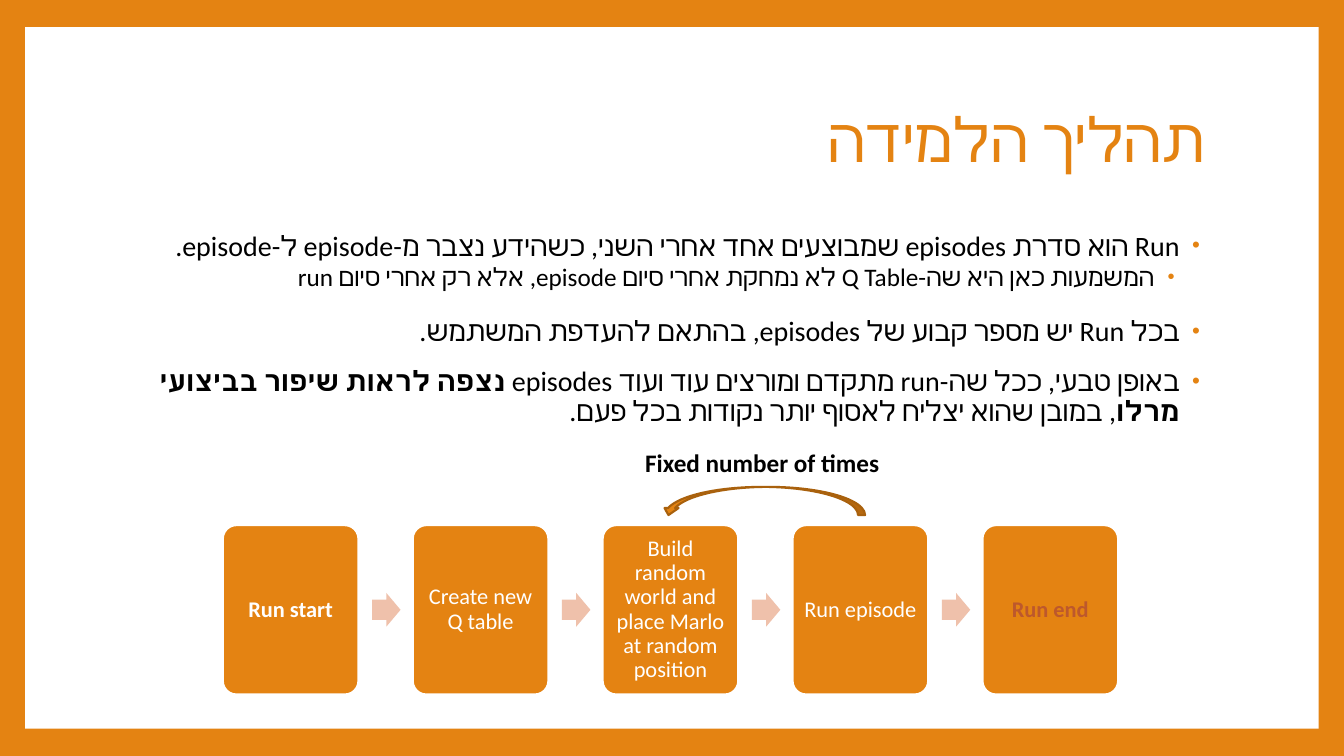
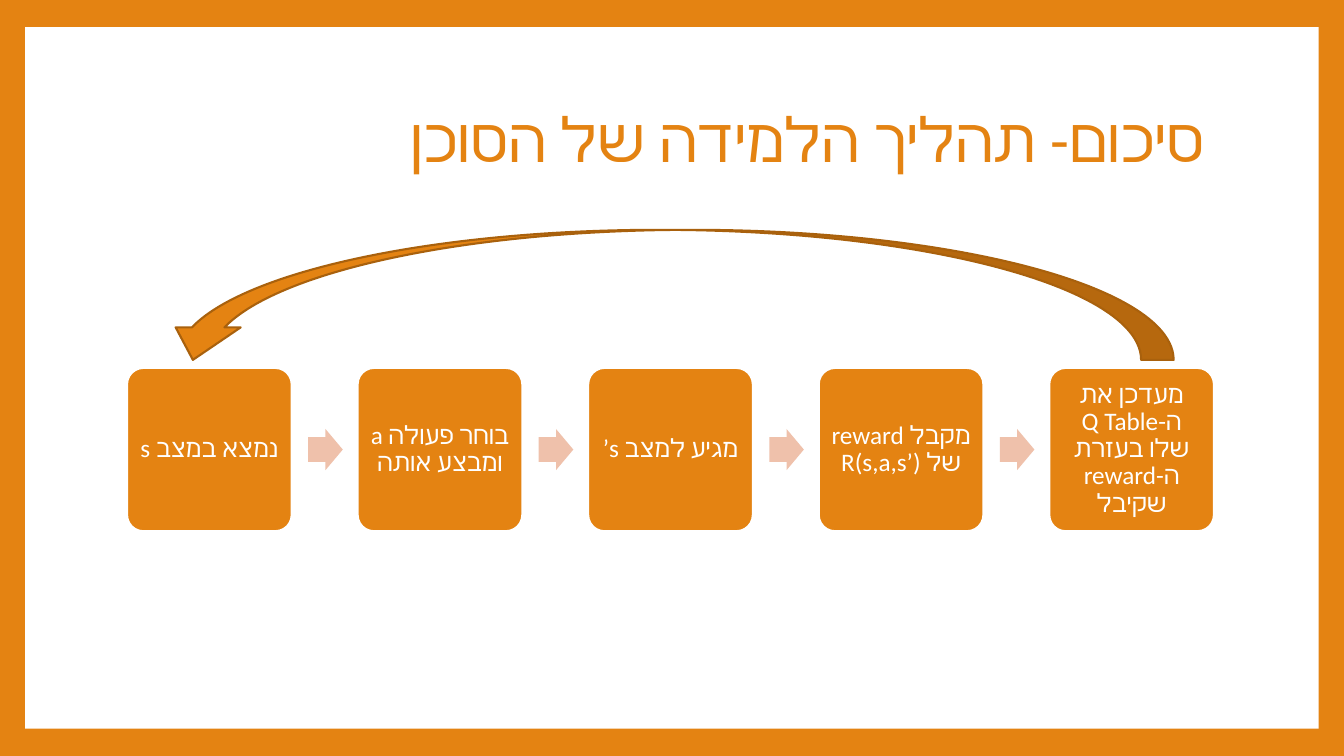
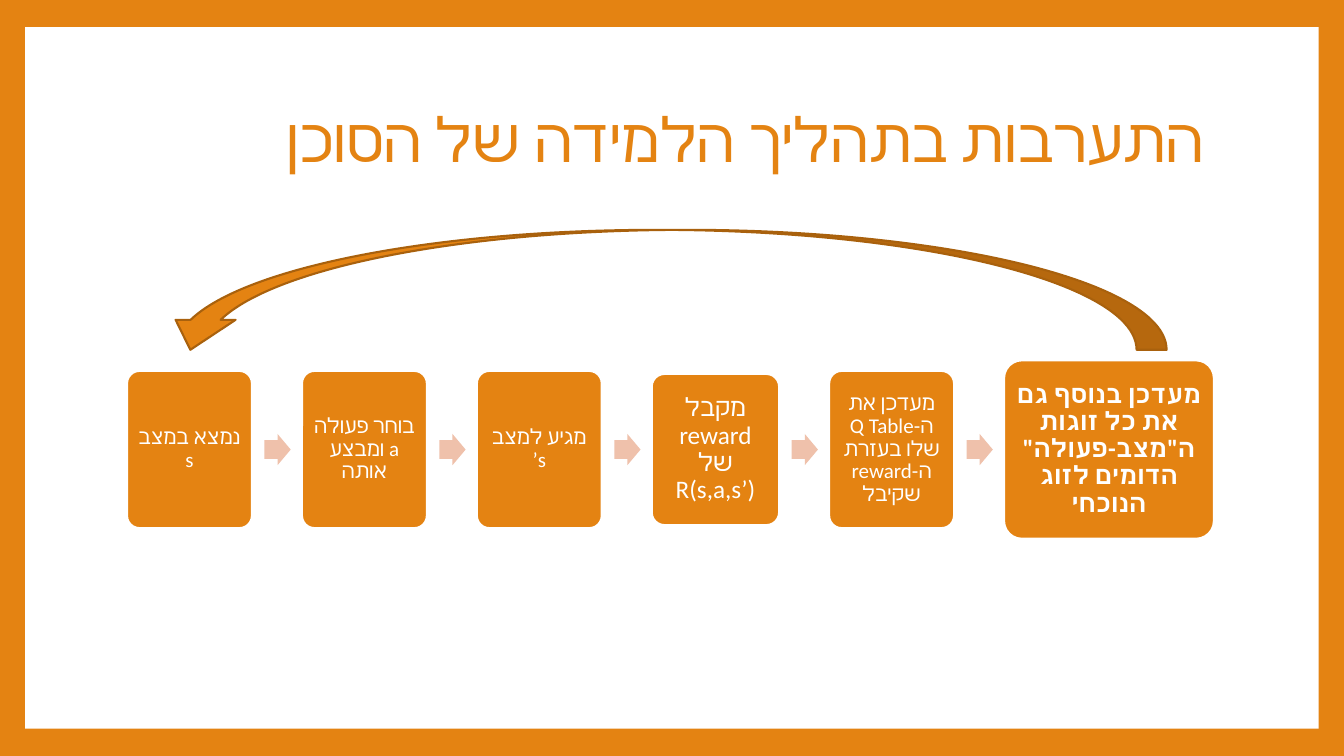
from pptx import Presentation
from pptx.dml.color import RGBColor
from pptx.enum.shapes import MSO_SHAPE
from pptx.enum.text import MSO_ANCHOR, PP_ALIGN
from pptx.oxml import parse_xml
from pptx.oxml.ns import nsdecls
from pptx.util import Inches, Pt

ROUNDED, ARROW = MSO_SHAPE.ROUNDED_RECTANGLE, MSO_SHAPE.RIGHT_ARROW
RECTANGLE, LOOP_ARROW = MSO_SHAPE.RECTANGLE, MSO_SHAPE.CURVED_UP_ARROW
LEFT, CENTER, RIGHT = PP_ALIGN.LEFT, PP_ALIGN.CENTER, PP_ALIGN.RIGHT
MIDDLE = MSO_ANCHOR.MIDDLE

ORANGE = RGBColor(0xE4, 0x83, 0x12)
DARK_ORANGE = RGBColor(0xA9, 0x61, 0x0D)
RUST = RGBColor(0xBD, 0x58, 0x2C)
PEACH = RGBColor(0xEF, 0xC1, 0xAB)
WHITE = RGBColor(0xFF, 0xFF, 0xFF)
BLACK = RGBColor(0x00, 0x00, 0x00)
FONT = "Calibri"

# Slide frame and content column, in inches
WIDTH, HEIGHT = 13.33, 7.5
FRAME_X, FRAME_Y = 0.25, 0.27
CONTENT_LEFT, CONTENT_WIDTH = 1.25, 10.8

# Flow proportions, as shares of one box width
GAP, ARROW_OFFSET, ARROW_WIDTH, ARROW_HEIGHT = 0.4, 0.1, 0.21, 0.25


def write_text(paragraph, runs, alignment, rtl, **font_format):
    """Fill a paragraph with (text, bold) runs that share one format."""
    paragraph.alignment = alignment
    paragraph.line_spacing = 0.9
    if rtl:
        paragraph._p.get_or_add_pPr().set("rtl", "1")
    for text, bold in runs:
        run = paragraph.add_run()
        run.text = text
        run.font.name = FONT
        run.font.bold = bold
        run.font.size = Pt(font_format["size"])
        run.font.color.rgb = font_format["color"]
        run._r.get_or_add_rPr().append(
            parse_xml(f'<a:cs {nsdecls("a")} typeface="{FONT}"/>'))


def add_filled_shape(slide, kind, box, fill, line=None):
    shape = slide.shapes.add_shape(kind, *map(Inches, box))
    shape.shadow.inherit = False
    shape.fill.solid()
    shape.fill.fore_color.rgb = fill
    if line is None:
        shape.line.fill.background()
    else:
        shape.line.color.rgb = line
        shape.line.width = Pt(1.5)
    return shape


presentation = Presentation()
presentation.slide_width, presentation.slide_height = Inches(WIDTH), Inches(HEIGHT)

# Master: background, title and body areas
master = presentation.slide_master
master.background.fill.solid()
master.background.fill.fore_color.rgb = ORANGE
for placeholder, (top, height) in zip(master.placeholders, [(0.67, 1.48), (2.25, 4.42)]):
    placeholder.left, placeholder.width = Inches(CONTENT_LEFT), Inches(CONTENT_WIDTH)
    placeholder.top, placeholder.height = Inches(top), Inches(height)

# Slides with their titles
TITLE_AND_BODY, TITLE_ONLY = 1, 5
TITLES = [
    ("תהליך הלמידה", TITLE_AND_BODY),
    ("סיכום- תהליך הלמידה של הסוכן", TITLE_ONLY),
    ("התערבות בתהליך הלמידה של הסוכן", TITLE_ONLY),
]
slides = []
for title, layout in TITLES:
    slide = presentation.slides.add_slide(presentation.slide_layouts[layout])
    slide.shapes.title.text_frame.vertical_anchor = MIDDLE
    write_text(slide.shapes.title.text_frame.paragraphs[0], [(title, False)],
               RIGHT, True, size=44, color=ORANGE)
    slides.append(slide)

# White panel, moved to the back of the master
panel = add_filled_shape(
    slides[0], RECTANGLE,
    (FRAME_X, FRAME_Y, WIDTH - 2 * FRAME_X, HEIGHT - 2 * FRAME_Y), WHITE)
master.shapes.element.insert(2, panel.element)

# Bullets: level, runs
BULLETS = [
    (0, [("Run הוא סדרת episodes שמבוצעים אחד אחרי השני, כשהידע נצבר מ-episode ל-episode.", False)]),
    (1, [("המשמעות כאן היא שה-Q Table לא נמחקת אחרי סיום episode, אלא רק אחרי סיום run", False)]),
    (0, [("בכל Run יש מספר קבוע של episodes, בהתאם להעדפת המשתמש.", False)]),
    (0, [("באופן טבעי, ככל שה-run מתקדם ומורצים עוד ועוד episodes ", False),
         ("נצפה לראות שיפור בביצועי מרלו", True),
         (", במובן שהוא יצליח לאסוף יותר נקודות בכל פעם.", False)]),
]
LEVELS = [
    {"size": 20, "before": 14, "after": 0},
    {"size": 18, "before": 2, "after": 4},
]
body = slides[0].placeholders[1].text_frame
for index, (level, runs) in enumerate(BULLETS):
    paragraph = body.add_paragraph() if index else body.paragraphs[0]
    style = LEVELS[level]
    paragraph.level = level
    properties = paragraph._p.get_or_add_pPr()
    properties.set("marL", str(Inches(0.25 * (level + 1))))
    properties.set("indent", str(Inches(-0.2)))
    for bullet in (f'<a:buClr {nsdecls("a")}><a:srgbClr val="{ORANGE}"/></a:buClr>',
                   f'<a:buSzPct {nsdecls("a")} val="80000"/>',
                   f'<a:buFont {nsdecls("a")} typeface="Arial"/>',
                   f'<a:buChar {nsdecls("a")} char="•"/>'):
        properties.append(parse_xml(bullet))
    paragraph.space_before = Pt(style["before"] if index else 0)
    paragraph.space_after = Pt(style["after"])
    write_text(paragraph, runs, RIGHT, True, size=style["size"], color=BLACK)

# Flows: each step overrides the step defaults of its flow
AGENT_STEPS = [
    {"text": "נמצא במצב s"},
    {"text": "בוחר פעולה a ומבצע אותה"},
    {"text": "מגיע למצב s’"},
    {"text": "מקבל reward של R(s,a,s’)"},
    {"text": "מעדכן את ה-Q Table שלו בעזרת ה-reward שקיבל"},
]
STEP = {"share": 1, "color": WHITE, "bold": False, "inset": 0.07}
FLOWS = [
    {"left": 2.21, "right": 11.09, "middle": 6.05, "rtl": False,
     "step": {"height": 1.68, "size": 16},
     "loop": (6.56, 4.83, 2.02, 0.28),
     "steps": [
         {"text": "Run start", "bold": True},
         {"text": "Create new Q table"},
         {"text": "Build random world and place Marlo at random position"},
         {"text": "Run episode"},
         {"text": "Run end", "bold": True, "color": RUST},
     ]},
    {"left": 1.26, "right": 12.04, "middle": 4.46, "rtl": True,
     "step": {"height": 1.62, "size": 18},
     "loop": (1.59, 2.28, 10.05, 1.29),
     "steps": AGENT_STEPS},
    {"left": 1.26, "right": 12.04, "middle": 4.46, "rtl": True,
     "step": {"height": 1.56, "size": 15, "inset": 0.06},
     "loop": (1.59, 2.28, 9.98, 1.19),
     "steps": [
         *AGENT_STEPS[:3],
         AGENT_STEPS[3] | {"share": 1.02, "height": 1.5, "size": 18, "inset": 0.07},
         AGENT_STEPS[4],
         {"text": 'מעדכן בנוסף גם את כל זוגות ה"מצב-פעולה" הדומים לזוג הנוכחי',
          "share": 1.68, "height": 1.77, "size": 18, "bold": True, "inset": 0.07},
     ]},
]
for slide, flow in zip(slides, FLOWS):
    steps = [STEP | flow["step"] | step for step in flow["steps"]]
    shares = sum(step["share"] for step in steps) + GAP * (len(steps) - 1)
    unit = (flow["right"] - flow["left"]) / shares
    left, middle = flow["left"], flow["middle"]
    for index, step in enumerate(steps):
        if index:
            arrow_height = ARROW_HEIGHT * unit
            arrow = add_filled_shape(
                slide, ARROW,
                (left - (GAP - ARROW_OFFSET) * unit, middle - arrow_height / 2,
                 ARROW_WIDTH * unit, arrow_height), PEACH)
            arrow.adjustments[0] = 0.6
        width, height = step["share"] * unit, step["height"]
        box = add_filled_shape(
            slide, ROUNDED, (left, middle - height / 2, width, height), ORANGE, WHITE)
        box.adjustments[0] = 0.1
        frame = box.text_frame
        frame.word_wrap = True
        frame.vertical_anchor = MIDDLE
        for side in ("left", "right", "top", "bottom"):
            setattr(frame, f"margin_{side}", Inches(step["inset"]))
        write_text(frame.paragraphs[0], [(step["text"], step["bold"])], CENTER,
                   flow["rtl"], size=step["size"], color=step["color"])
        left += width + GAP * unit
    loop = add_filled_shape(slide, LOOP_ARROW, flow["loop"], ORANGE, DARK_ORANGE)
    loop.rotation = 180

# Label above the loop of the first flow
label = slides[0].shapes.add_textbox(*map(Inches, (6.3, 4.42, 2.84, 0.4)))
label.text_frame.word_wrap = True
write_text(label.text_frame.paragraphs[0], [("Fixed number of times", True)],
           LEFT, False, size=18, color=BLACK)

presentation.save("out.pptx")
